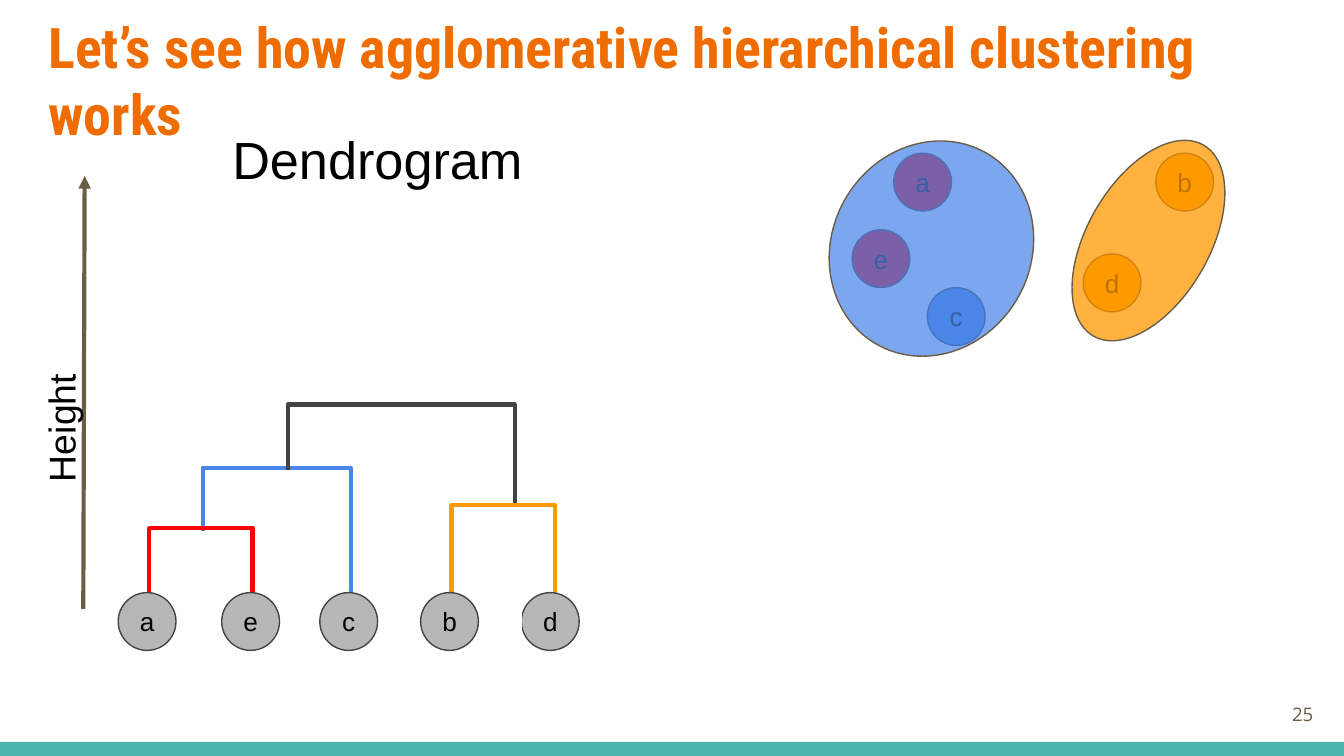
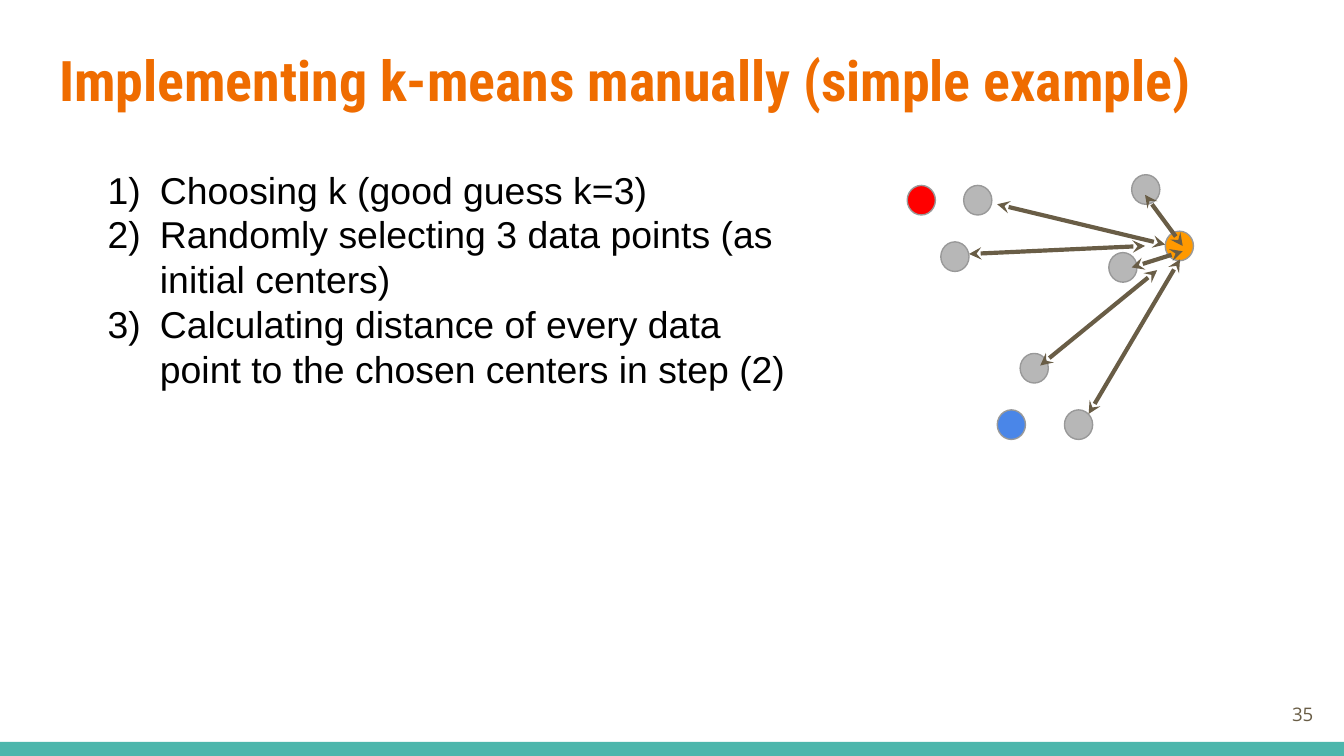
"""Builds two slides on clustering: a dendrogram and a k-means distance step."""
import dataclasses

import lxml.etree
import pptx
import pptx.dml.color
import pptx.enum.shapes
import pptx.enum.text
import pptx.oxml
import pptx.oxml.ns
import pptx.util

Inches = pptx.util.Inches
Pt = pptx.util.Pt
RGB = pptx.dml.color.RGBColor.from_string
qn = pptx.oxml.ns.qn
Shape = pptx.enum.shapes.MSO_SHAPE
Align = pptx.enum.text.PP_ALIGN
Anchor = pptx.enum.text.MSO_ANCHOR


@dataclasses.dataclass(frozen=True)
class Theme:
    title_font: str = "Roboto Condensed"
    text_font: str = "Arial"
    number_font: str = "Open Sans"
    title_size: int = 30
    heading_size: int = 28
    body_size: int = 20
    label_size: int = 14
    number_size: int = 10
    thick: float = 2.25
    thin: float = 0.75
    title: str = "EF6C00"
    band: str = "4DB6AC"
    brown: str = "695D46"
    text: str = "000000"
    white: str = "FFFFFF"
    red: str = "FF0000"
    orange: str = "FF9900"
    blue: str = "4A86E8"
    grey: str = "B7B7B7"
    dark: str = "434343"
    outline: str = "999999"


theme = Theme()


def add_figure(page, kind, place, fill, line, width=theme.thin, label=""):
    figure = page.shapes.add_shape(kind, *map(Inches, place))
    figure.shadow.inherit = False
    if fill:
        figure.fill.solid()
        figure.fill.fore_color.rgb = RGB(fill)
    else:
        figure.fill.background()
    figure.line.color.rgb = RGB(line)
    figure.line.width = Pt(width)
    if label:
        frame = figure.text_frame
        frame.text = label
        frame.vertical_anchor = Anchor.MIDDLE
        para = frame.paragraphs[0]
        para.alignment = Align.CENTER
        font = para.runs[0].font
        font.name, font.size = theme.text_font, Pt(theme.label_size)
        font.color.rgb = RGB(theme.text)
    return figure


def add_arrow(page, start, end, **heads):
    arrow = page.shapes.add_connector(
        pptx.enum.shapes.MSO_CONNECTOR.STRAIGHT, *map(Inches, start + end))
    arrow.line.color.rgb = RGB(theme.brown)
    arrow.line.width = Pt(theme.thick)
    properties = arrow.element.spPr
    for name, style in heads.items():
        lxml.etree.SubElement(properties.find(qn("a:ln")), qn("a:" + name), type=style)
    lxml.etree.SubElement(properties, qn("a:effectLst"))


deck = pptx.Presentation()
deck.slide_width = Inches(10)
deck.slide_height = deck.slide_width * 9 // 16
dendrogram = deck.slides.add_slide(deck.slide_layouts[5])
kmeans = deck.slides.add_slide(deck.slide_layouts[1])

band = add_figure(dendrogram, Shape.RECTANGLE, (0, 5.52, 10, 0.11), theme.band, theme.band)
band.line.fill.background()
band.element.nvSpPr.cNvPr.set("id", "90")
deck.slide_master.element.cSld.spTree.append(band.element)

titles = [
    (dendrogram, "Let’s see how agglomerative hierarchical clustering works", 0.26, -0.01),
    (kmeans, "Implementing k-means manually (simple example)", 0.34, 0.24),
]
for page, words, left, top in titles:
    title = page.shapes.title
    title.left, title.top, title.width, title.height = map(Inches, (left, top, 9.32, 0.77))
    frame = title.text_frame
    frame.text = words
    frame.auto_size = pptx.enum.text.MSO_AUTO_SIZE.NONE
    frame.vertical_anchor = Anchor.TOP
    frame.paragraphs[0].alignment = Align.LEFT
    font = frame.paragraphs[0].runs[0].font
    font.name, font.size, font.bold = theme.title_font, Pt(theme.title_size), True
    font.color.rgb = RGB(theme.title)

for place, colour in [
    ((1.51, 3.48, 1.1, 1.73), theme.blue),
    ((2.14, 3.01, 1.69, 2.41), theme.dark),
    ((1.11, 3.93, 0.77, 1.12), theme.red),
    ((3.36, 3.76, 0.77, 1.45), theme.orange),
]:
    add_figure(dendrogram, Shape.RECTANGLE, place, None, colour, theme.thick)

for label, left, top, colour in [
    ("a", 6.65, 1.14, theme.red),
    ("b", 8.6, 1.14, theme.orange),
    ("c", 6.9, 2.14, theme.blue),
    ("d", 8.06, 1.89, theme.orange),
    ("e", 6.34, 1.71, theme.red),
]:
    add_figure(dendrogram, Shape.OVAL, (left, top, 0.43, 0.43), colour, theme.dark, label=label)

for place, colour, opacity in [
    ((6.19, 1.03, 1.48, 1.64), theme.blue, 72),
    ((8.09, 0.97, 0.91, 1.64), theme.orange, 75),
]:
    cluster = add_figure(dendrogram, Shape.OVAL, place, colour, theme.brown)
    cluster.rotation = 30
    tint = cluster.element.spPr.find(qn("a:solidFill"))[0]
    lxml.etree.SubElement(tint, qn("a:alpha"), val=str(opacity * 1000))

add_arrow(dendrogram, (0.62, 4.53), (0.63, 1.31), tailEnd="triangle")

add_figure(dendrogram, Shape.RECTANGLE, (0.85, 4.66, 3.49, 0.84), theme.white, theme.white)
for label, left in zip("aecbd", (0.88, 1.65, 2.38, 3.13, 3.88)):
    add_figure(dendrogram, Shape.OVAL, (left, 4.41, 0.43, 0.43), theme.grey, theme.dark, label=label)
for gap in [(3.59, 3.78, 0.29, 1.42), (2.12, 3.5, 0.19, 1.42), (1.39, 3.96, 0.19, 1.24)]:
    add_figure(dendrogram, Shape.RECTANGLE, gap, theme.white, theme.white)

heading_style = (theme.text_font, theme.heading_size, theme.text, Align.LEFT, Anchor.TOP)
axis_style = (theme.text_font, theme.body_size, theme.text, Align.LEFT, Anchor.TOP)
number_style = (theme.number_font, theme.number_size, theme.brown, Align.RIGHT, Anchor.MIDDLE)
number_place = (9.27, 5.1, 0.6, 0.43)
for page, words, place, turn, style in [
    (dendrogram, "Dendrogram", (1.63, 0.85, 3.05, 0.68), 0, heading_style),
    (dendrogram, "Height", (-0.16, 2.91, 1.12, 0.43), 270, axis_style),
    (dendrogram, "25", number_place, 0, number_style),
    (kmeans, "35", number_place, 0, number_style),
]:
    name, size, colour, alignment, anchor = style
    box = page.shapes.add_textbox(*map(Inches, place))
    box.rotation = turn
    frame = box.text_frame
    frame.text = words
    frame.word_wrap = True
    frame.vertical_anchor = anchor
    para = frame.paragraphs[0]
    para.alignment = alignment
    font = para.runs[0].font
    font.name, font.size = name, Pt(size)
    font.color.rgb = RGB(colour)

steps = kmeans.placeholders[1]
steps.left, steps.top, steps.width, steps.height = map(Inches, (0.59, 1.14, 5.54, 3.5))
steps.text_frame.text = "\n".join([
    "Choosing k (good guess k=3)",
    "Randomly selecting 3 data points (as initial centers)",
    "Calculating distance of every data point to the chosen centers in step (2)",
])
steps.text_frame.auto_size = pptx.enum.text.MSO_AUTO_SIZE.NONE
for para in steps.text_frame.paragraphs:
    para.space_before = Pt(0)
    para.line_spacing = 1.0
    font = para.runs[0].font
    font.name, font.size = theme.text_font, Pt(theme.body_size)
    font.color.rgb = RGB(theme.text)
    properties = para._p.get_or_add_pPr()
    properties.set("marL", str(Inches(0.5)))
    properties.set("indent", str(Inches(-0.39)))
    bullet_colour = lxml.etree.SubElement(properties, qn("a:buClr"))
    lxml.etree.SubElement(bullet_colour, qn("a:srgbClr"), val=theme.text)
    lxml.etree.SubElement(properties, qn("a:buFont"), typeface=theme.text_font)
    lxml.etree.SubElement(properties, qn("a:buAutoNum"), type="arabicParenR")

for left, top, colour in [
    (6.75, 1.38, theme.red),
    (7.17, 1.38, theme.grey),
    (7, 1.8, theme.grey),
    (7.59, 2.63, theme.grey),
    (7.92, 3.05, theme.grey),
    (7.42, 3.05, theme.blue),
    (8.25, 1.88, theme.grey),
    (8.42, 1.3, theme.grey),
    (8.67, 1.72, theme.orange),
]:
    add_figure(kmeans, Shape.OVAL, (left, top, 0.21, 0.22), colour, theme.outline)

for point, center in [
    ((8.42, 1.99), (8.8, 1.87)),
    ((8.52, 1.45), (8.8, 1.83)),
    ((8.1, 3.08), (8.78, 1.93)),
    ((7.74, 2.72), (8.61, 2.01)),
    ((7.42, 1.52), (8.67, 1.82)),
    ((7.21, 1.89), (8.52, 1.83)),
]:
    add_arrow(kmeans, point, center, headEnd="stealth", tailEnd="stealth")

for page in deck.slides:
    for item in page.shapes:
        if item.has_text_frame:
            frame = item.text_frame
            frame.margin_left = frame.margin_right = Inches(0.1)
            frame.margin_top = frame.margin_bottom = Inches(0.1)

deck.save("out.pptx")
